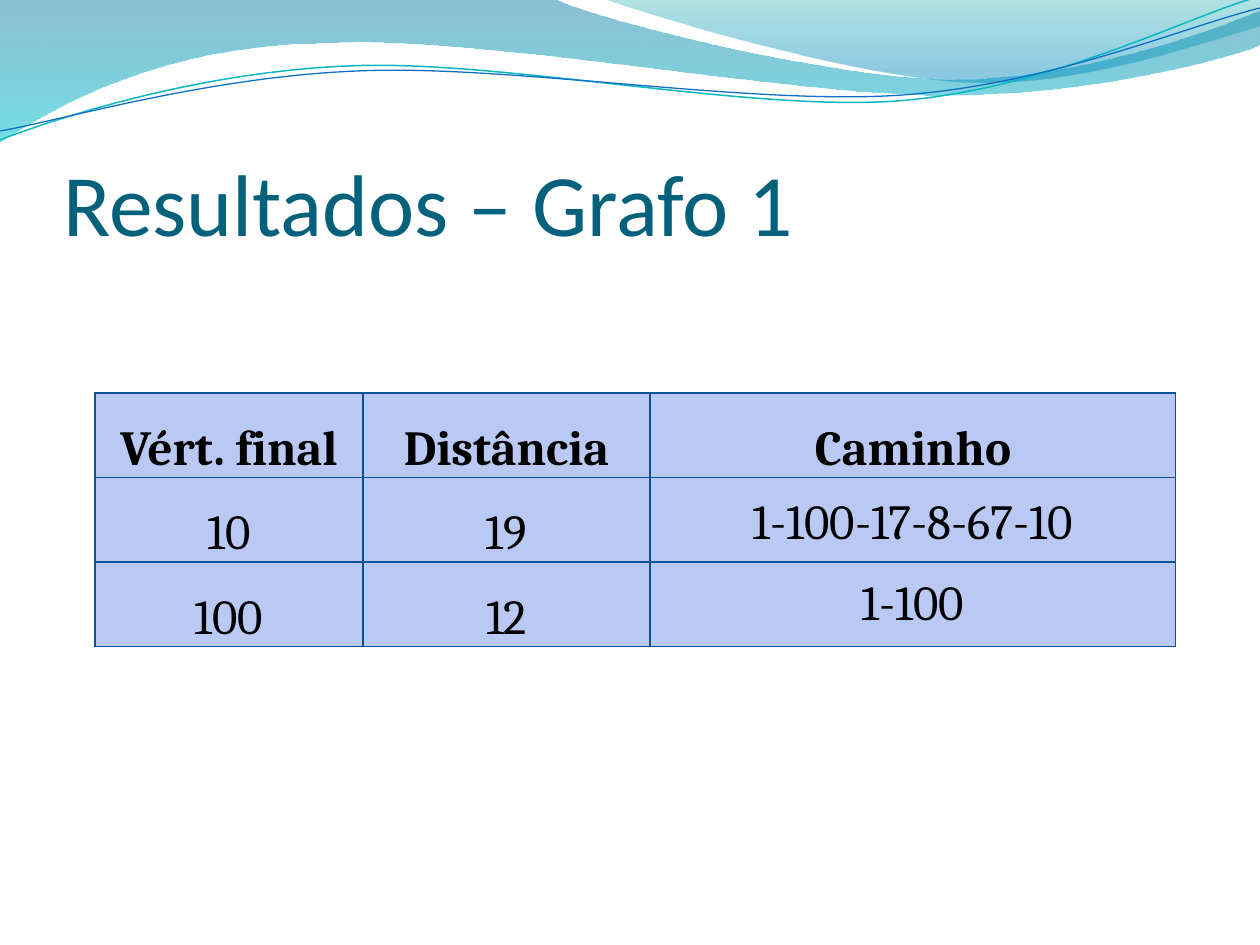
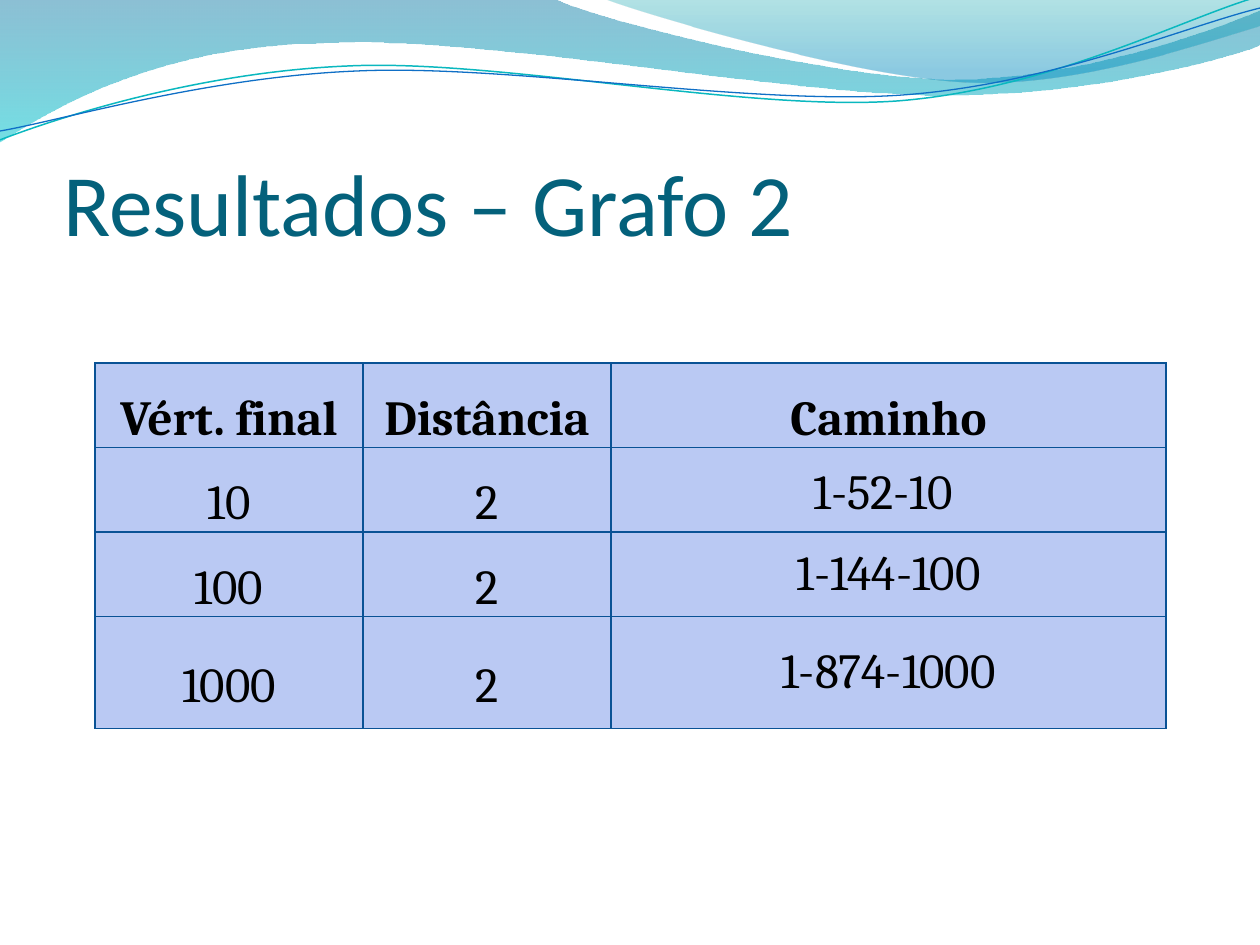
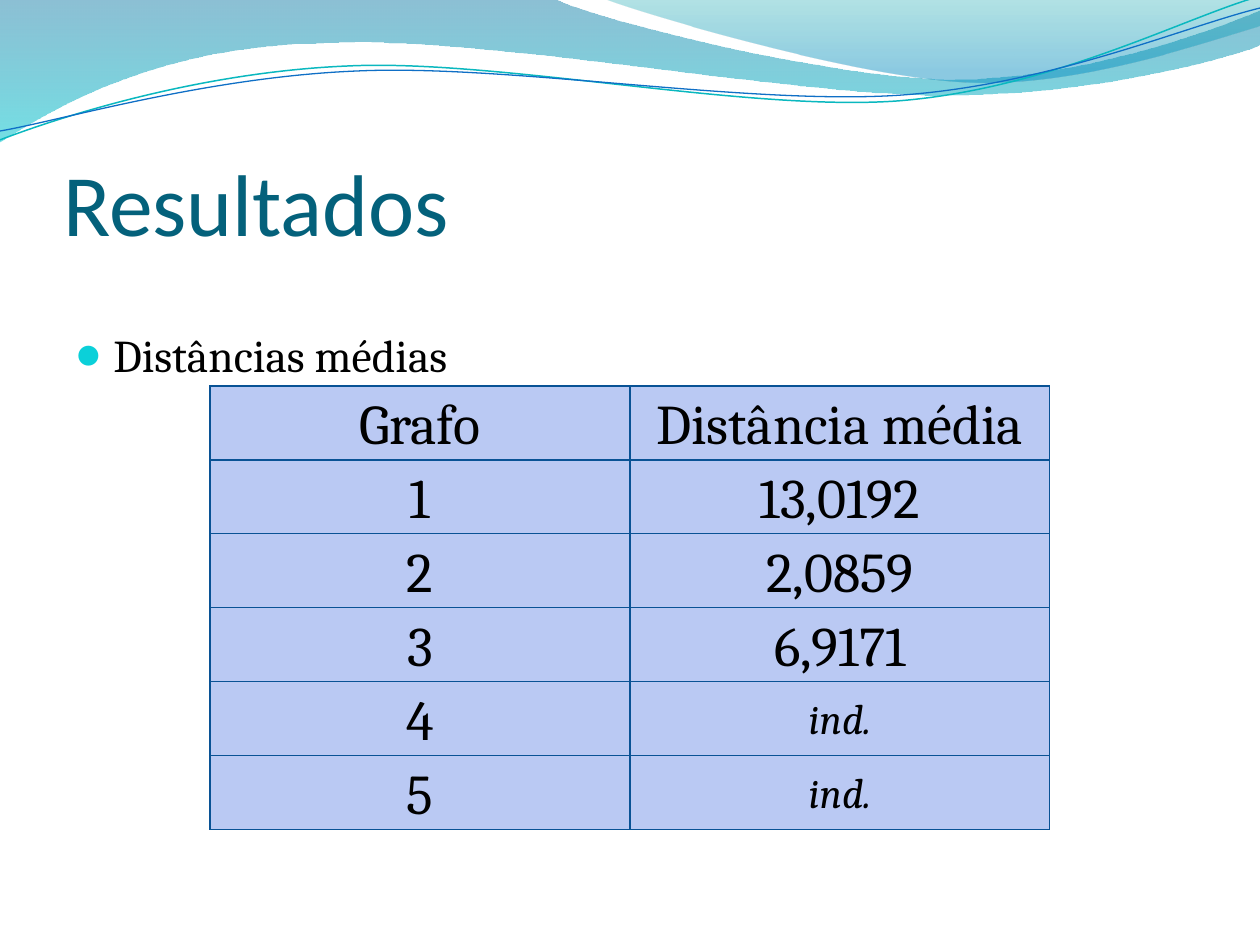
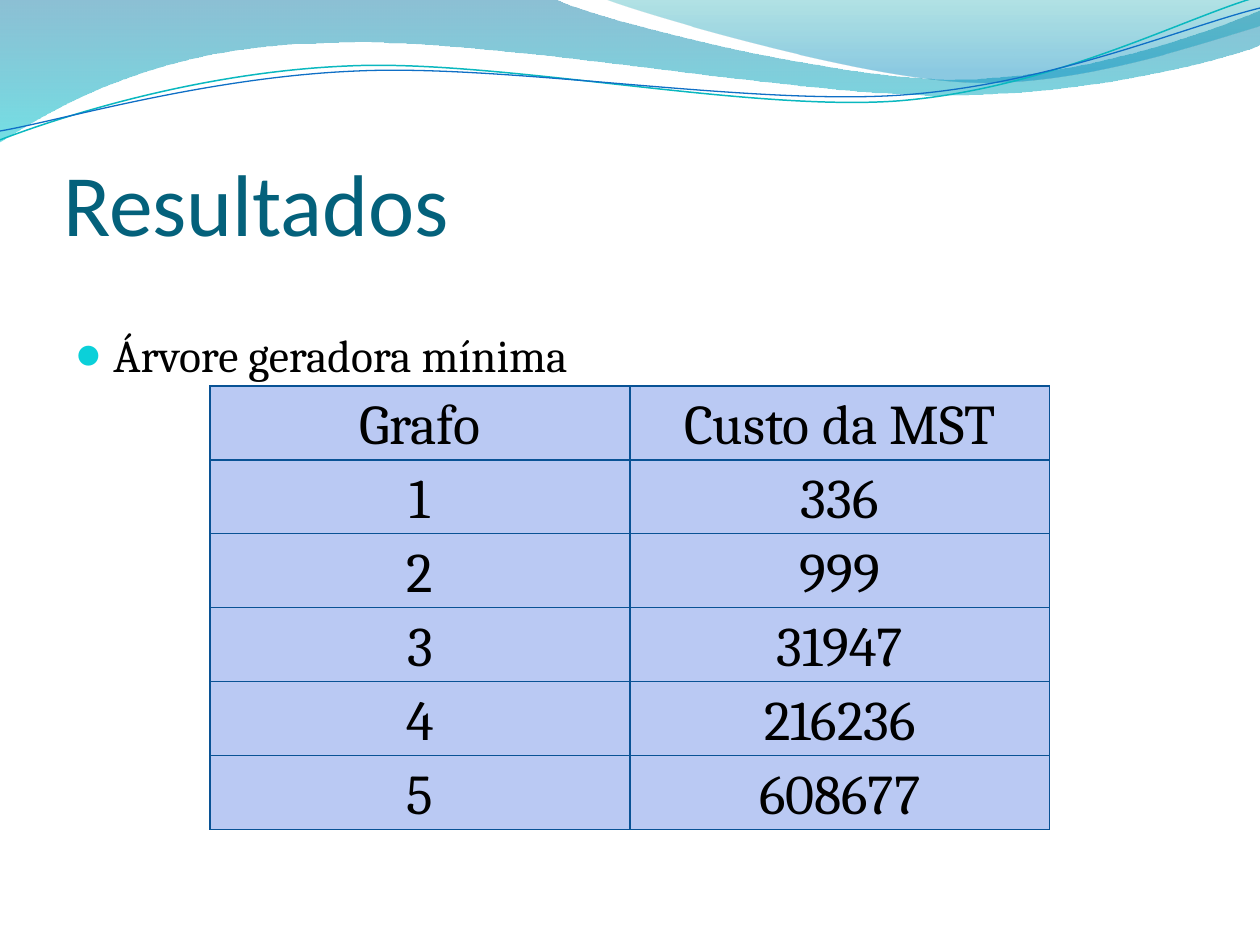
"""Build four slides of graph results under a shared wave header."""
from dataclasses import dataclass
from itertools import chain
from math import cos, radians, sin
from typing import Any, Optional

from lxml.etree import SubElement
from pptx import Presentation
from pptx.dml.color import RGBColor
from pptx.enum.text import MSO_ANCHOR, MSO_AUTO_SIZE, PP_ALIGN
from pptx.oxml.ns import qn
from pptx.util import Emu, Pt

EMU_PER_PIXEL = 914400 / 126
WAVE_TILT = 357.3
FIRST_WAVE_ID = 20

TITLE_COLOR = "04617B"
TEXT_COLOR = "000000"
BULLET_COLOR = "0BD0D9"
CELL_COLOR = "BAC9F3"
BORDER_COLOR = "095295"

Point = tuple[float, float]
Segment = tuple[Point, ...]


@dataclass(frozen=True)
class Stop:
    """One gradient stop, with position and opacity in percent."""
    position: int
    color: str
    opacity: int


@dataclass(frozen=True)
class Wave:
    """One header outline: one-point segments are lines, three-point ones curves."""
    start: Point
    segments: tuple[Segment, ...]
    stops: tuple[Stop, ...] = ()
    line_color: str = ""
    line_width: float = 0
    pivot: Optional[Point] = None


@dataclass(frozen=True)
class CellStyle:
    """Text format of a table cell."""
    size: int
    line_spacing: float
    space: int = 12
    bold: bool = False
    italic: bool = False


@dataclass(frozen=True)
class Grid:
    """A table with its place and its sizes in pixels."""
    left: int
    top: int
    columns: tuple[int, ...]
    heights: tuple[int, ...]
    rows: tuple[tuple[str, ...], ...]


@dataclass(frozen=True)
class ResultSlide:
    """Title, optional bullet and table of one slide."""
    title: str
    grid: Grid
    bullet: str = ""


HEADING = CellStyle(28, 1.5, bold=True)
NUMBER = CellStyle(28, 1.5)
FIRST_ROUTE = CellStyle(28, 1.15, space=0)
ROUTE = CellStyle(28, 1.0, space=0)
SUMMARY = CellStyle(32, 1.1)
UNDEFINED = CellStyle(24, 1.1, italic=True)

WAVES = (
    Wave((0, 0), (
        ((554, -1),),
        ((600, 21), (837, 79), (955, 79)),
        ((1075, 79), (1207, 33), (1260, 11)),
        ((1261, 45),),
        ((1239, 55), (1096, 96), (940, 95)),
        ((784, 95), (481, 35), (324, 43)),
        ((163, 45), (58, 105), (-1, 142)),
    ), stops=(Stop(0, "0074A1", 45), Stop(100, "00C6CF", 55))),
    Wave((604, -1), (
        ((641, 14), (859, 78), (969, 82)),
        ((1079, 87), (1211, 40), (1260, 26)),
        ((1260, 0),),
    ), stops=(Stop(0, "00A1A9", 30), Stop(80, "008BBF", 45))),
    Wave((0, 140), (
        ((60, 117), (199, 72), (349, 66)),
        ((498, 59), (747, 112), (898, 101)),
        ((1050, 89), (1182, 19), (1257, -3)),
    ), line_color="0AB8BF", line_width=0.85, pivot=(629, 72)),
    Wave((0, 131), (
        ((59, 121), (207, 77), (357, 71)),
        ((508, 64), (752, 106), (903, 95)),
        ((1053, 84), (1186, 26), (1260, 8)),
    ), line_color="0F6FC6", line_width=0.75, pivot=(629, 74)),
)

ROUTE_HEADINGS = ("Vért. final", "Distância", "Caminho")


def summary_grid(heading: str, values: tuple[str, ...]) -> Grid:
    """Number the graphs from one and pair each with its value."""
    rows = tuple((str(graph), value) for graph, value in enumerate(values, 1))
    return Grid(210, 386, (420, 420), (74,) * (len(rows) + 1), (("Grafo", heading),) + rows)


SLIDES = (
    ResultSlide("Resultados – Grafo 1", Grid(
        95, 393, (268, 287, 526), (84, 84, 84),
        (ROUTE_HEADINGS, ("10", "19", "1-100-17-8-67-10"), ("100", "12", "1-100")))),
    ResultSlide("Resultados – Grafo 2", Grid(
        95, 363, (268, 248, 555), (84, 84, 84, 112),
        (ROUTE_HEADINGS, ("10", "2", "1-52-10 "), ("100", "2", "1-144-100"),
         ("1000", "2", "1-874-1000")))),
    ResultSlide("Resultados", summary_grid(
        "Distância média", ("13,0192", "2,0859", "6,9171", "ind.", "ind.")),
        "Distâncias médias"),
    ResultSlide("Resultados", summary_grid(
        "Custo da MST", ("336", "999", "31947", "216236", "608677")),
        "Árvore geradora mínima"),
)


def px(pixels: float) -> Emu:
    """Turn pixels into EMU."""
    return Emu(round(pixels * EMU_PER_PIXEL))


def rgb(color: str) -> RGBColor:
    """Turn a hex string into a colour."""
    return RGBColor.from_string(color)


def apply(target: Any, values: dict[str, Any]) -> None:
    """Set every attribute named in the format values."""
    for attribute, value in values.items():
        setattr(target, attribute, value)


def write(paragraph: Any, text: str, color: str, font: dict[str, Any]) -> None:
    """Add one formatted run to a paragraph."""
    run = paragraph.add_run()
    run.text = text
    apply(run.font, font)
    run.font.color.rgb = rgb(color)


def untilt(point: Point, pivot: Point) -> Point:
    """Turn a point back by the wave tilt, so the shape rotation restores it."""
    angle = radians(-WAVE_TILT)
    dx, dy = point[0] - pivot[0], point[1] - pivot[1]
    return (pivot[0] + dx * cos(angle) - dy * sin(angle),
            pivot[1] + dx * sin(angle) + dy * cos(angle))


def bend(shape: Any, segments: tuple[Segment, ...]) -> None:
    """Join the control points of each curved segment into a cubic curve."""
    outline = next(shape.element.iter(qn("a:path")))
    lines = iter(outline.findall(qn("a:lnTo")))
    for segment in segments:
        pieces = [next(lines) for _ in segment]
        if len(pieces) == 1:
            outline.append(pieces[0])
            continue
        curve = SubElement(outline, qn("a:cubicBezTo"))
        for piece in pieces:
            curve.append(piece[0])
            outline.remove(piece)
    for closing in outline.findall(qn("a:close")):
        outline.append(closing)


def fill_gradient(shape: Any, stops: tuple[Stop, ...]) -> None:
    """Fill a shape from top to bottom with translucent stops."""
    shape.fill.gradient()
    shape.fill.gradient_angle = 270
    for target, stop in zip(shape.fill.gradient_stops, stops):
        target.position = stop.position / 100
        target.color.rgb = rgb(stop.color)
    for color, stop in zip(shape.element.iter(qn("a:srgbClr")), stops):
        SubElement(color, qn("a:alpha"), val=str(stop.opacity * 1000))


def draw_wave(slide: Any, wave: Wave) -> Any:
    """Draw one header wave and return it."""
    points = [wave.start, *chain.from_iterable(wave.segments)]
    if wave.pivot:
        points = [untilt(point, wave.pivot) for point in points]
    corners = [(px(x), px(y)) for x, y in points]
    builder = slide.shapes.build_freeform(*corners[0])
    builder.add_line_segments(corners[1:], close=bool(wave.stops))
    shape = builder.convert_to_shape()
    bend(shape, wave.segments)
    shape.shadow.inherit = False
    if wave.stops:
        fill_gradient(shape, wave.stops)
        shape.line.fill.background()
    else:
        shape.fill.background()
        shape.line.color.rgb = rgb(wave.line_color)
        shape.line.width = Pt(wave.line_width)
        shape.rotation = WAVE_TILT
    return shape


def share_waves(slide: Any) -> None:
    """Draw the waves and move them to the layout that all slides use."""
    for number, wave in enumerate(WAVES, FIRST_WAVE_ID):
        element = draw_wave(slide, wave).element
        element.nvSpPr.cNvPr.id = number
        slide.slide_layout.shapes.element.append(element)


def set_title(slide: Any, text: str) -> None:
    """Place and format the title placeholder."""
    title = slide.shapes.title
    apply(title, {"left": px(63), "top": px(97), "width": px(1134), "height": px(157)})
    frame = title.text_frame
    apply(frame, {"margin_left": 0, "margin_top": px(6), "margin_right": 0, "margin_bottom": 0,
                  "vertical_anchor": MSO_ANCHOR.BOTTOM, "word_wrap": True,
                  "auto_size": MSO_AUTO_SIZE.NONE})
    paragraph = frame.paragraphs[0]
    paragraph.alignment = PP_ALIGN.LEFT
    write(paragraph, text, TITLE_COLOR, {"name": "Calibri", "size": Pt(50)})


def add_bullet(slide: Any, text: str) -> None:
    """Add the bulleted statement above the table."""
    statement = slide.shapes.add_textbox(px(63), px(266), px(1134), px(605))
    statement.text_frame.word_wrap = True
    paragraph = statement.text_frame.paragraphs[0]
    apply(paragraph, {"line_spacing": 2.0, "space_before": Pt(5)})
    write(paragraph, text, TEXT_COLOR, {"name": "Cambria", "size": Pt(26)})
    properties = paragraph._p.get_or_add_pPr()
    for attribute, value in {"marL": px(38), "indent": -px(38)}.items():
        properties.set(attribute, str(int(value)))
    SubElement(SubElement(properties, qn("a:buClr")), qn("a:srgbClr"), val=BULLET_COLOR)
    SubElement(properties, qn("a:buSzPct"), val="95000")
    SubElement(properties, qn("a:buFont"), typeface="Calibri")
    SubElement(properties, qn("a:buChar"), char="●")


def style_for(text: str, row: int, column: int, has_routes: bool) -> CellStyle:
    """Choose the format of a cell by its place and content."""
    if not has_routes:
        return UNDEFINED if text == "ind." else SUMMARY
    if row == 0:
        return HEADING
    if column < 2:
        return NUMBER
    return FIRST_ROUTE if row == 1 else ROUTE


def format_cell(cell: Any, text: str, style: CellStyle) -> None:
    """Write a cell and give it margins, borders and fill."""
    apply(cell, {"margin_left": px(9), "margin_right": px(9), "margin_top": 0,
                 "margin_bottom": 0, "vertical_anchor": MSO_ANCHOR.MIDDLE})
    paragraph = cell.text_frame.paragraphs[0]
    apply(paragraph, {"alignment": PP_ALIGN.CENTER, "line_spacing": style.line_spacing,
                      "space_before": Pt(style.space), "space_after": Pt(style.space)})
    write(paragraph, text, TEXT_COLOR, {"name": "Cambria", "size": Pt(style.size),
                                        "bold": style.bold, "italic": style.italic})
    properties = cell._tc.get_or_add_tcPr()
    for side in ("a:lnL", "a:lnR", "a:lnT", "a:lnB"):
        border = SubElement(properties, qn(side), w=str(int(Pt(0.75))))
        SubElement(SubElement(border, qn("a:solidFill")), qn("a:srgbClr"), val=BORDER_COLOR)
    cell.fill.solid()
    cell.fill.fore_color.rgb = rgb(CELL_COLOR)


def add_grid(slide: Any, grid: Grid) -> None:
    """Add a result table."""
    table = slide.shapes.add_table(
        len(grid.rows), len(grid.columns), px(grid.left), px(grid.top),
        px(sum(grid.columns)), px(sum(grid.heights))).table
    apply(table, {"first_row": False, "horz_banding": False})
    for column, width in zip(table.columns, grid.columns):
        column.width = px(width)
    for row, height in zip(table.rows, grid.heights):
        row.height = px(height)
    has_routes = grid.rows[0] == ROUTE_HEADINGS
    for row, texts in enumerate(grid.rows):
        for column, text in enumerate(texts):
            format_cell(table.cell(row, column), text, style_for(text, row, column, has_routes))


def main() -> None:
    """Build and save the presentation."""
    presentation = Presentation()
    apply(presentation, {"slide_width": px(1260), "slide_height": px(945)})
    title_only = presentation.slide_layouts[5]
    for number, content in enumerate(SLIDES):
        slide = presentation.slides.add_slide(title_only)
        if number == 0:
            share_waves(slide)
        set_title(slide, content.title)
        if content.bullet:
            add_bullet(slide, content.bullet)
        add_grid(slide, content.grid)
    presentation.save("out.pptx")


main()
